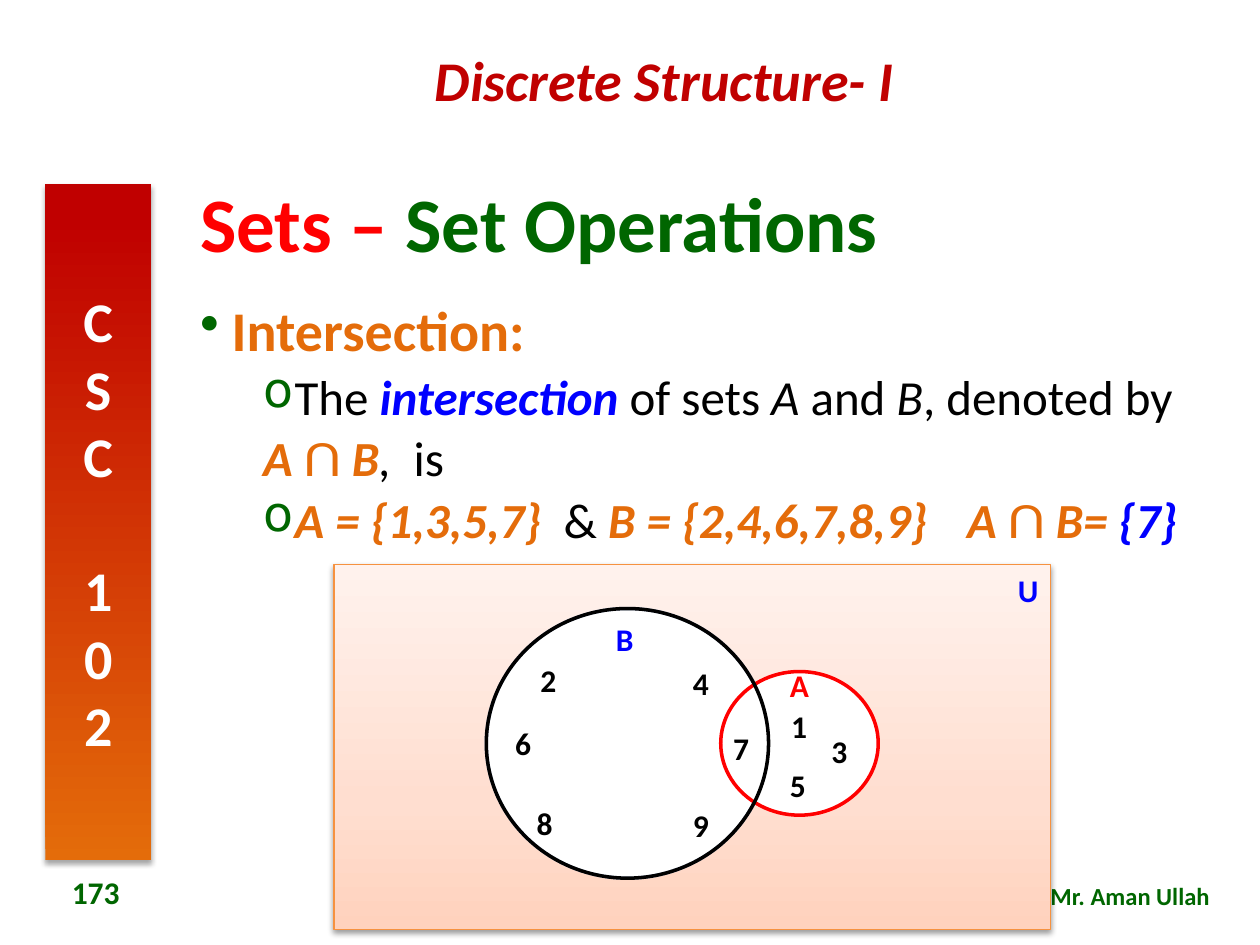
from lxml.etree import SubElement
from pptx import Presentation
from pptx.dml.color import RGBColor
from pptx.enum.shapes import MSO_SHAPE
from pptx.enum.text import MSO_ANCHOR, PP_ALIGN
from pptx.oxml.ns import qn
from pptx.util import Emu, Pt

PX = 9144  # 100 px to the inch

BLACK = RGBColor(0x00, 0x00, 0x00)
WHITE = RGBColor(0xFF, 0xFF, 0xFF)
RED = RGBColor(0xFF, 0x00, 0x00)
DARK_RED = RGBColor(0xC0, 0x00, 0x00)
GREEN = RGBColor(0x00, 0x66, 0x00)
BLUE = RGBColor(0x00, 0x00, 0xFF)
PALE_BLUE = RGBColor(0xC2, 0xD1, 0xED)
ORANGE = RGBColor(0xE4, 0x6C, 0x0A)
BORDER = RGBColor(0xF6, 0x92, 0x40)
PEACH = RGBColor(0xFF, 0xD2, 0xBD)
PEACH_MID = RGBColor(0xFF, 0xDE, 0xD0)
PEACH_LIGHT = RGBColor(0xFF, 0xF2, 0xED)


def px(n):
    return Emu(n * PX)


class Slide:
    font = "Calibri"
    math_font = "Cambria"

    def __init__(self, prs):
        self.s = prs.slides.add_slide(prs.slide_layouts[6])

    def format_run(self, r, size, color, style="b"):
        """style letters: b bold, i italic, m math font"""
        r.font.name = self.math_font if "m" in style else self.font
        r.font.size = Pt(size)
        r.font.bold = "b" in style
        r.font.italic = "i" in style
        r.font.color.rgb = color

    def runs(self, p, size, parts):
        for text, color, style in parts:
            r = p.add_run()
            r.text = text
            self.format_run(r, size, color, style)

    def line(self, tf, text, size, color, style="b", align=PP_ALIGN.LEFT):
        tf.text = text
        p = tf.paragraphs[0]
        p.alignment = align
        self.format_run(p.runs[0], size, color, style)

    def box(self, x, y, w, h, anchor=MSO_ANCHOR.TOP):
        tf = self.s.shapes.add_textbox(px(x), px(y), px(w), px(h)).text_frame
        tf.word_wrap = True
        tf.vertical_anchor = anchor
        return tf

    def label(self, x, y, text, color=BLACK):
        self.line(self.box(x, y, 32, 40), text, 18, color)

    def bullet(self, p, margin, indent, char):
        pPr = p._p.get_or_add_pPr()
        pPr.set("marL", str(px(margin)))
        pPr.set("indent", str(px(indent)))
        if char:
            clr = SubElement(pPr, qn("a:buClr"))
            SubElement(clr, qn("a:srgbClr"), val=str(GREEN))
            SubElement(pPr, qn("a:buChar"), char=char)
        else:
            SubElement(pPr, qn("a:buNone"))

    def shape(self, kind, x, y, w, h, line=None, width=2, fill=None):
        sp = self.s.shapes.add_shape(kind, px(x), px(y), px(w), px(h))
        sp.shadow.inherit = False
        if fill is None:
            sp.fill.background()
        else:
            sp.fill.solid()
            sp.fill.fore_color.rgb = fill
        if line is None:
            sp.line.fill.background()
        else:
            sp.line.color.rgb = line
            sp.line.width = Pt(width)
        return sp

    def ellipse(self, x, y, w, h, line, fill=None):
        return self.shape(MSO_SHAPE.OVAL, x, y, w, h, line, 2, fill)

    def panel(self, x, y, w, h, stops, alpha, line=None):
        """Rectangle with an upward gradient and a soft shadow."""
        sp = self.shape(MSO_SHAPE.RECTANGLE, x, y, w, h, line, 0.75)
        sp.fill.gradient()
        sp.fill.gradient_angle = 90
        spPr = sp._element.spPr
        gs_list = spPr.find(qn("a:gradFill")).find(qn("a:gsLst"))
        for gs in list(gs_list):
            gs_list.remove(gs)
        for pos, color in stops:
            gs = SubElement(gs_list, qn("a:gs"), pos=str(pos * 1000))
            SubElement(gs, qn("a:srgbClr"), val=str(color))
        shadow = SubElement(spPr.find(qn("a:effectLst")), qn("a:outerShdw"),
                            blurRad=str(Pt(3.1)), dist=str(Pt(1.7)),
                            dir="5400000", rotWithShape="0")
        clr = SubElement(shadow, qn("a:srgbClr"), val=str(BLACK))
        SubElement(clr, qn("a:alpha"), val=str(alpha * 1000))
        return sp


def main():
    prs = Presentation()
    prs.slide_width, prs.slide_height = px(1000), px(750)
    s = Slide(prs)

    # Course header, side banner and author
    s.line(s.box(211, 31, 633, 64), "Discrete Structure- I", 32, DARK_RED,
           "bi", PP_ALIGN.CENTER)
    banner = s.panel(36, 146, 84, 537, [(0, ORANGE), (95, DARK_RED)], 35)
    tf = banner.text_frame
    s.line(tf, "CSC 102", 32, WHITE, align=PP_ALIGN.CENTER)
    tf.vertical_anchor = MSO_ANCHOR.MIDDLE
    tf._txBody.bodyPr.set("vert", "wordArtVert")
    s.line(s.box(680, 694, 290, 34), "Mr. Aman Ullah", 14, GREEN,
           align=PP_ALIGN.RIGHT)

    # Title
    p = s.box(149, 136, 839, 89, MSO_ANCHOR.MIDDLE).paragraphs[0]
    p.line_spacing = 0.9
    s.runs(p, 44, [("Sets – ", RED, "b"), ("Set Operations", GREEN, "b")])

    # Definition and example: level, margin, indent, bullet, size, runs
    cap = ("∩ ", ORANGE, "bm")
    body = [
        (0, 25, -25, "•", 32, [("Intersection:", ORANGE, "b")]),
        (1, 75, -25, "o", 28, [
            ("The ", BLACK, ""), ("intersection", BLUE, "bi"),
            (" of sets ", BLACK, ""), ("A", BLACK, "i"), (" and ", BLACK, ""),
            ("B", BLACK, "i"), (", denoted by", BLACK, "")]),
        (1, 50, 0, None, 28, [
            ("A ", ORANGE, "bi"), cap, ("B", ORANGE, "bi"),
            (",", BLACK, "i"), ("  is", BLACK, "")]),
        (1, 75, -25, "o", 28, [
            ("A = {1,3,5,7}  ", ORANGE, "bi"), ("&", BLACK, ""),
            (" B = {2,4,6,7,8,9}\t A ", ORANGE, "bi"), cap,
            ("B= ", ORANGE, "bi"), ("{7}", BLUE, "bi")]),
    ]
    tf = s.box(149, 236, 839, 440)
    for i, (level, margin, indent, char, size, parts) in enumerate(body):
        p = tf.add_paragraph() if i else tf.paragraphs[0]
        s.bullet(p, margin, indent, char)
        p.level = level
        p.alignment = PP_ALIGN.JUSTIFY
        p.line_spacing = 0.9
        p.space_before = Pt(5 if i else 0)
        s.runs(p, size, parts)

    # Slide number
    s.line(s.box(24, 688, 104, 40, MSO_ANCHOR.MIDDLE), "173", 18, GREEN,
           align=PP_ALIGN.CENTER)

    # Universal set
    universe = s.panel(265, 448, 569, 290, [(0, PEACH), (35, PEACH_MID),
                                            (100, PEACH_LIGHT)], 38, BORDER)
    s.line(universe.text_frame, "U", 18, BLUE, align=PP_ALIGN.RIGHT)
    universe.text_frame.vertical_anchor = MSO_ANCHOR.TOP

    # Sets B and A with their elements
    set_b = (386, 483, 224, 214)
    s.ellipse(*set_b, PALE_BLUE, WHITE)
    s.ellipse(572, 533, 125, 114, RED, WHITE)
    s.label(479, 487, "B", BLUE)
    s.label(617, 524, "A", RED)
    elements = [("2", 419, 520), ("4", 540, 522), ("6", 399, 570),
                ("7", 572, 574), ("8", 416, 633), ("9", 540, 635),
                ("1", 618, 556), ("3", 650, 576), ("5", 617, 603)]
    for text, x, y in elements:
        s.label(x, y, text)

    # Outline of B over A, so the overlap shows
    s.ellipse(*set_b, BLACK)

    prs.save("out.pptx")


if __name__ == "__main__":
    main()
